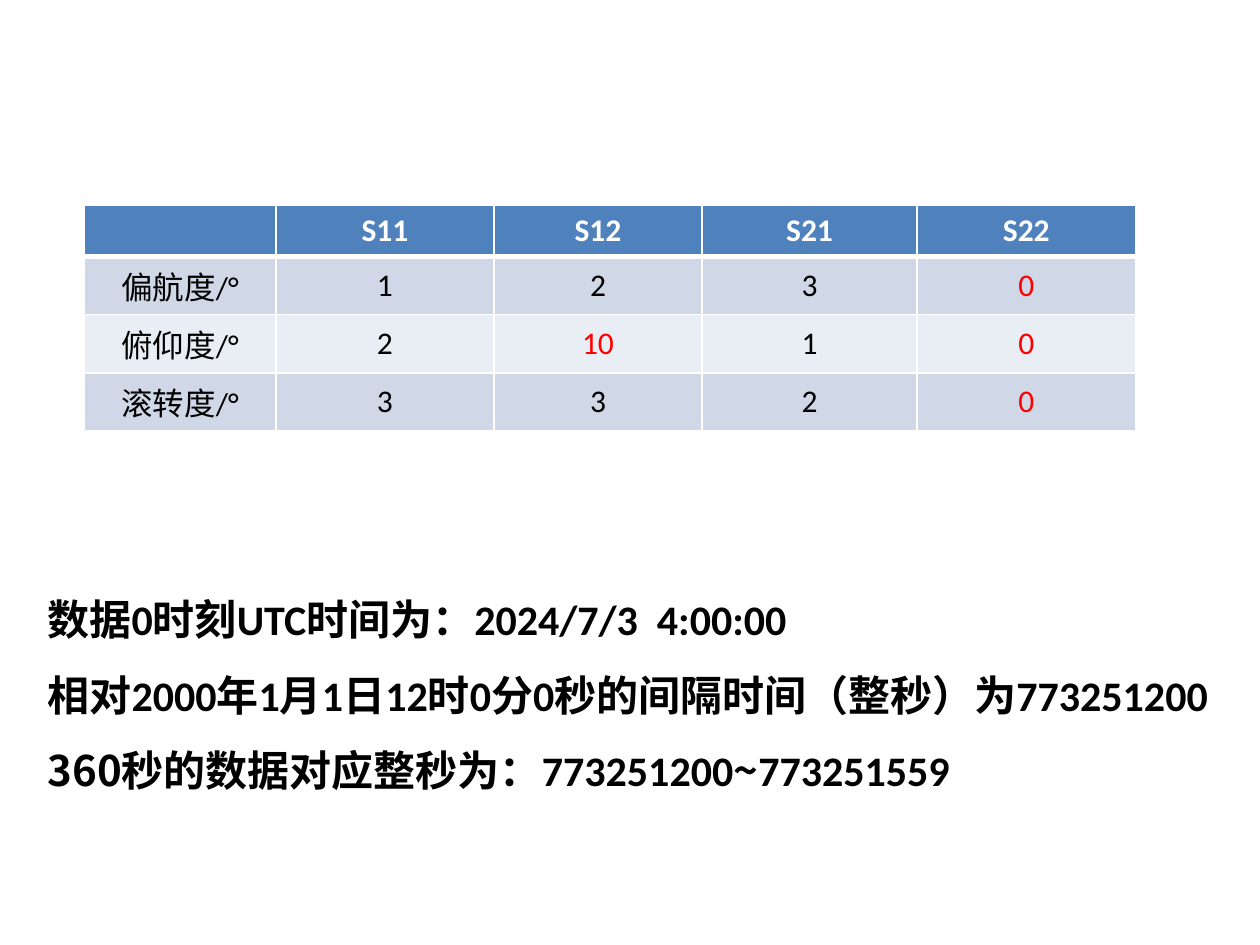
from lxml.etree import SubElement
from pptx import Presentation
from pptx.dml.color import RGBColor
from pptx.enum.text import MSO_ANCHOR, MSO_AUTO_SIZE, PP_ALIGN
from pptx.oxml.ns import qn
from pptx.util import Cm, Pt

COLORS = {"header": "4F81BD", "odd": "D0D8E8", "even": "E9EDF4",
          "white": "FFFFFF", "black": "000000", "red": "FF0000"}
LATIN, CJK = "Calibri", "Noto Sans CJK SC"


def add_text(p, text, size=18, color="black", bold=False, font=LATIN):
    """Add a formatted run to a paragraph."""
    r = p.add_run()
    r.text = text
    r.font.size, r.font.bold, r.font.name = Pt(size), bold, font
    r.font.color.rgb = RGBColor.from_string(COLORS[color])
    SubElement(r.font._element, qn("a:ea"), typeface=CJK)


def set_borders(cell, bottom=1):
    """Draw white cell borders, with the bottom width in points."""
    tcPr = cell._tc.get_or_add_tcPr()
    for i, (side, width) in enumerate([("L", 1), ("R", 1), ("T", 1), ("B", bottom)]):
        ln = tcPr.makeelement(qn(f"a:ln{side}"), {"w": str(Pt(width))})
        fill = SubElement(ln, qn("a:solidFill"))
        SubElement(fill, qn("a:srgbClr"), val=COLORS["white"])
        tcPr.insert(i, ln)


prs = Presentation()
prs.slide_width, prs.slide_height = Cm(25.4), Cm(19.05)
s = prs.slides.add_slide(prs.slide_layouts[6])

# Attitude table
rows = [["", "S11", "S12", "S21", "S22"],
        ["偏航度/°", "1", "2", "3", "0"],
        ["俯仰度/°", "2", "10", "1", "0"],
        ["滚转度/°", "3", "3", "2", "0"]]
widths = [3.86, 4.4, 4.19, 4.34, 4.4]
table = s.shapes.add_table(len(rows), len(widths), Cm(1.7), Cm(4.14),
                           Cm(sum(widths)), Cm(4.12)).table
for col, width in zip(table.columns, widths):
    col.width = Cm(width)
for i, row in enumerate(rows):
    table.rows[i].height = Cm(1.03)
    band = "header" if i == 0 else "odd" if i % 2 else "even"
    for j, text in enumerate(row):
        cell = table.cell(i, j)
        cell.fill.solid()
        cell.fill.fore_color.rgb = RGBColor.from_string(COLORS[band])
        cell.vertical_anchor = MSO_ANCHOR.MIDDLE
        set_borders(cell, bottom=3 if i == 0 else 1)
        p = cell.text_frame.paragraphs[0]
        p.alignment = PP_ALIGN.CENTER
        if text:
            color = "white" if i == 0 else "red" if text in ("0", "10") else "black"
            add_text(p, text, color=color, bold=i == 0)

# Time notes
tf = s.shapes.add_textbox(Cm(0.71), Cm(11.33), Cm(24.08), Cm(4.88)).text_frame
tf.word_wrap = True
tf.auto_size = MSO_AUTO_SIZE.SHAPE_TO_FIT_TEXT
start, span = tf.paragraphs[0], tf.add_paragraph()
start.line_spacing = span.line_spacing = 1.5
add_text(start, "数据0时刻UTC时间为：2024/7/3  4:00:00", size=24, bold=True)
start.add_line_break()
add_text(start, "相对2000年1月1日12时0分0秒的间隔时间（整秒）为773251200", size=24, bold=True)
for text, font in [("360秒的数据对应整秒为：", CJK), ("773251200", LATIN),
                   ("~", CJK), ("773251559", LATIN)]:
    add_text(span, text, size=24, bold=True, font=font)

prs.save("out.pptx")
